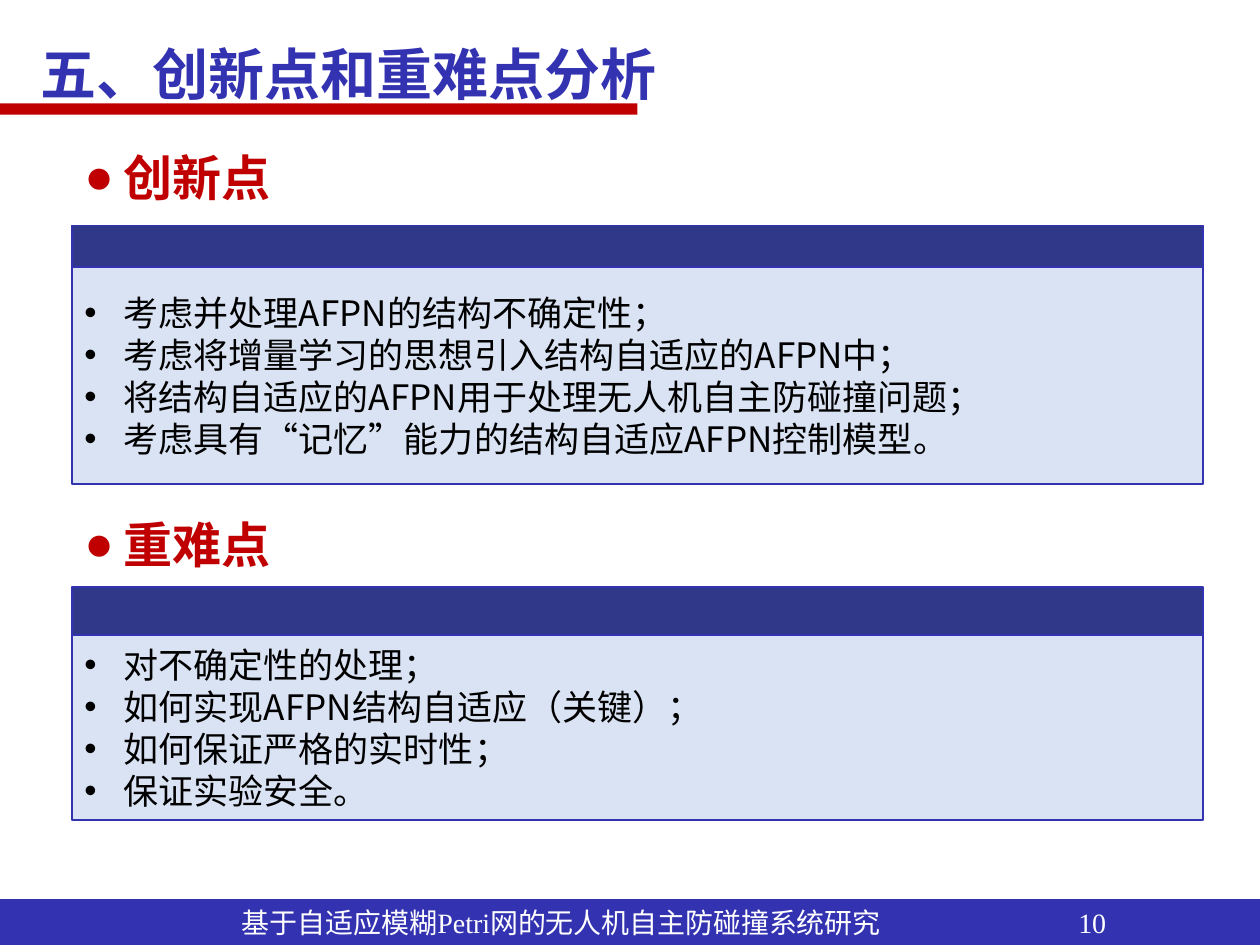
"""Build the slide on innovations and key difficulties."""
from lxml import etree
from pptx import Presentation
from pptx.dml.color import RGBColor
from pptx.enum.shapes import MSO_SHAPE
from pptx.enum.text import MSO_ANCHOR, MSO_AUTO_SIZE, PP_ALIGN
from pptx.oxml.ns import qn
from pptx.util import Inches, Pt

RECT = MSO_SHAPE.RECTANGLE
TOP, MID = MSO_ANCHOR.TOP, MSO_ANCHOR.MIDDLE
FIXED, LEFT = MSO_AUTO_SIZE.NONE, PP_ALIGN.LEFT
SANS, SERIF = "Noto Sans CJK SC", "Times New Roman"
HUES = {"blue": "3333B2", "navy": "2F3889", "pale": "DAE3F3",
        "red": "C00000", "white": "FFFFFF", "black": "000000"}

TITLE = "五、创新点和重难点分析"
TOPIC = "基于自适应模糊Petri网的无人机自主防碰撞系统研究"
PAGE = "10"
PARTS = [
    {"head": "创新点", "top": 1.12, "band": 1.79, "body": 2.12, "tall": 1.72,
     "list": ["考虑并处理AFPN的结构不确定性；",
              "考虑将增量学习的思想引入结构自适应的AFPN中；",
              "将结构自适应的AFPN用于处理无人机自主防碰撞问题；",
              "考虑具有“记忆”能力的结构自适应AFPN控制模型。"]},
    {"head": "重难点", "top": 4.03, "band": 4.66, "body": 5.04, "tall": 1.47,
     "list": ["对不确定性的处理；",
              "如何实现AFPN结构自适应（关键）；",
              "如何保证严格的实时性；",
              "保证实验安全。"]},
]
EDGE, WIDE, HANG = 0.57, 8.98, 0.31


def hue(name):
    return RGBColor.from_string(HUES[name])


def place(shape, *box):
    shape.left, shape.top, shape.width, shape.height = map(Inches, box)


def paint(shape, fill, line=None):
    shape.fill.solid()
    shape.fill.fore_color.rgb = hue(fill)
    if line:
        shape.line.color.rgb = hue(line)
        shape.line.width = Pt(1)
    else:
        shape.line.fill.background()


def bar(slide, box, fill, line=None):
    shape = slide.shapes.add_shape(RECT, *map(Inches, box))
    shape.shadow.inherit = False
    paint(shape, fill, line)
    return shape


def write(shape, *lines, size, color, font=SANS, bold=False, mark=None,
          anchor=TOP, space=1, inset=0.1):
    frame = shape.text_frame
    frame.text = "\n".join(lines)
    frame.word_wrap, frame.auto_size = True, FIXED
    frame.vertical_anchor = anchor
    frame.margin_left = Inches(inset)
    frame.margin_right = Inches(0.1)
    frame.margin_top = frame.margin_bottom = Inches(0.05)
    for para in frame.paragraphs:
        para.alignment, para.line_spacing = LEFT, space
        para.space_before = para.space_after = Pt(0)
        if mark:
            props = para._p.get_or_add_pPr()
            props.set("marL", str(Inches(HANG)))
            props.set("indent", str(-Inches(HANG)))
            etree.SubElement(props, qn("a:buChar")).set("char", mark)
        for run in para.runs:
            face = run.font
            face.name, face.size, face.bold = font, Pt(size), bold
            face.color.rgb = hue(color)
            east = etree.SubElement(run._r.get_or_add_rPr(), qn("a:ea"))
            east.set("typeface", SANS)


def main():
    deck = Presentation()
    deck.slide_width, deck.slide_height = Inches(10), Inches(7.5)
    slide = deck.slides.add_slide(deck.slide_layouts[4])
    title, *slots = slide.placeholders

    place(title, 0.22, 0, 6.18, 0.91)
    write(title, TITLE, size=32, color="blue", bold=True, space=1.5)
    rule = bar(slide, (0, 0.82, 5.06, 0.09), "red")
    backs = [rule]

    for part, head, body in zip(PARTS, slots[::2], slots[1::2]):
        place(head, EDGE, part["top"], 9.4, 0.57)
        write(head, part["head"], size=28, color="red", bold=True, mark="●")
        backs.append(bar(slide, (EDGE, part["band"], WIDE, 1), "navy", "blue"))
        place(body, EDGE, part["body"], WIDE, part["tall"])
        paint(body, "pale", "blue")
        write(body, *part["list"], size=20, color="black", mark="•", anchor=MID)

    for back in backs:
        back.element.getparent().insert(2, back.element)

    foot = bar(slide, (0, 7.14, 10, 0.36), "blue", "blue")
    style = {"size": 16, "color": "white", "font": SERIF, "anchor": MID}
    write(foot, TOPIC, inset=1.92, **style)
    page = slide.shapes.add_textbox(*map(Inches, (8.46, 7.14, 0.8, 0.36)))
    write(page, PAGE, **style)
    deck.save("out.pptx")


if __name__ == "__main__":
    main()
